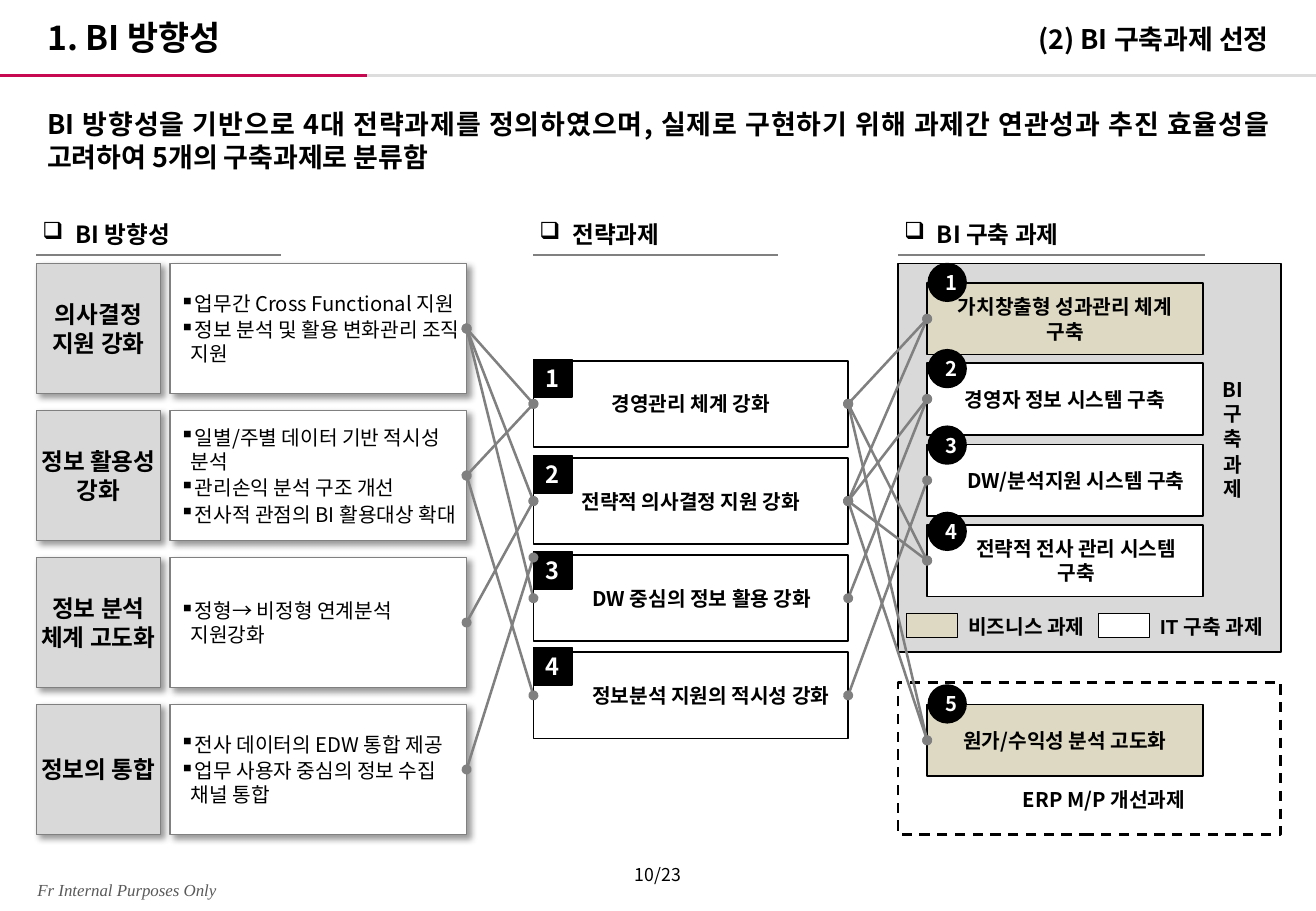
import pptx
import pptx.util
import pptx.dml.color
import pptx.enum.dml
import pptx.enum.shapes
import pptx.enum.text
import pptx.oxml.ns
import lxml.etree

CELL = pptx.util.Inches(0.01)
COLS, ROWS = 1083, 750
FONT = "Noto Sans CJK KR"
COLORS = {"black": "000000", "white": "FFFFFF", "gray": "808080", "panel": "D9D9D9",
          "sand": "DDD9C3", "red": "C70952", "rule": "DDDDDD", "footer": "595959"}
SHAPE = pptx.enum.shapes.MSO_SHAPE
ALIGN = pptx.enum.text.PP_ALIGN
ANCHOR = pptx.enum.text.MSO_ANCHOR
DIRECTIONS = [
    ("의사결정 지원 강화", ["업무간 Cross Functional 지원", "정보 분석 및 활용 변화관리 조직 지원"]),
    ("정보 활용성 강화", ["일별/주별 데이터 기반 적시성 분석", "관리손익 분석 구조 개선",
                   "전사적 관점의 BI 활용대상 확대"]),
    ("정보 분석 체계 고도화", ["정형→ 비정형 연계분석 지원강화"]),
    ("정보의 통합", ["전사 데이터의 EDW 통합 제공", "업무 사용자 중심의 정보 수집 채널 통합"])]
STRATEGIES = [("경영관리 체계 강화", 10), ("전략적 의사결정 지원 강화", 10),
              ("DW 중심의 정보 활용 강화", 28), ("정보분석 지원의 적시성 강화", 43)]
TASKS = [("가치창출형 성과관리 체계 구축", "sand", 10), ("경영자 정보 시스템 구축", "white", 10),
         ("DW/분석지원 시스템 구축", "white", 28), ("전략적 전사 관리 시스템 구축", "white", 28)]
BADGE_RISES = [16, 11, 15, 10, 16]
DIRECTION_LINKS = [(0, 0), (0, 1), (0, 2), (1, 0), (1, 3), (2, 1)]
TASK_LINKS = [(0, 4), (0, 0), (1, 1), (2, 1), (3, 2), (0, 3), (1, 4), (1, 0), (1, 3)]


def rgb(name):
    """Return the named colour."""
    return pptx.dml.color.RGBColor.from_string(COLORS[name])


def sub(parent, tag, **attrs):
    """Append a DrawingML element."""
    return lxml.etree.SubElement(parent, pptx.oxml.ns.qn("a:" + tag), attrs)


def write(sp, texts, size=12, color="black", bold=True, italic=False, font=FONT, align=ALIGN.CENTER,
          anchor=ANCHOR.MIDDLE, insets=(10, 5, 10, 5), bullet=None, indent=0):
    """Fill a shape with uniformly formatted paragraphs."""
    tf = sp.text_frame
    tf.word_wrap = True
    tf.vertical_anchor = anchor
    tf.margin_left, tf.margin_top, tf.margin_right, tf.margin_bottom = [n * CELL for n in insets]
    tf.text = "\n".join(texts)
    for p in tf.paragraphs:
        p.alignment = align
        p.space_before = p.space_after = pptx.util.Pt(size * 0.05)
        p.font.size, p.font.bold, p.font.italic = pptx.util.Pt(size), bold, italic
        p.font.color.rgb = rgb(color)
        p.font.name = font
        pPr = p._p.get_or_add_pPr()
        props = pPr.find(pptx.oxml.ns.qn("a:defRPr"))
        sub(props, "ea", typeface=FONT)
        if bullet:
            pPr.set("marL", str(indent * CELL))
            pPr.set("indent", str(-indent * CELL))
            props.addprevious(sub(pPr, "buChar", char=bullet))


def label(s, x, y, w, h, *texts, **style):
    """Add a text box."""
    sp = s.shapes.add_textbox(x * CELL, y * CELL, w * CELL, h * CELL)
    write(sp, texts, **style)


def block(s, x, y, w, h, *texts, kind=SHAPE.RECTANGLE, fill=None, line="black", width=1,
          shadow=False, **style):
    """Add an outlined shape with optional text and shadow."""
    sp = s.shapes.add_shape(kind, x * CELL, y * CELL, w * CELL, h * CELL)
    sp.shadow.inherit = False
    if fill:
        sp.fill.solid()
        sp.fill.fore_color.rgb = rgb(fill)
    else:
        sp.fill.background()
    sp.line.color.rgb = rgb(line)
    sp.line.width = pptx.util.Pt(width)
    if shadow:
        effects = sp._element.spPr.find(pptx.oxml.ns.qn("a:effectLst"))
        outer = sub(effects, "outerShdw", blurRad=str(pptx.util.Pt(4)), dist=str(pptx.util.Pt(3)),
                    dir="2700000", algn="tl", rotWithShape="0")
        sub(sub(outer, "srgbClr", val=COLORS["black"]), "alpha", val="40000")
    if texts:
        write(sp, texts, **style)
    return sp


def rule(s, x1, y1, x2, y2, color="gray"):
    """Add a straight line."""
    c = s.shapes.add_connector(pptx.enum.shapes.MSO_CONNECTOR.STRAIGHT,
                               x1 * CELL, y1 * CELL, x2 * CELL, y2 * CELL)
    c.line.color.rgb = rgb(color)
    c.line.width = pptx.util.Pt(1.5)
    sub(c._element.spPr, "effectLst")
    return c


def link(s, start, end=None, point=(0, 0)):
    """Join two boxes, or a box and a point, with a dotted-end line."""
    c = rule(s, 0, 0, *point)
    c.begin_connect(start, 3)
    if end is not None:
        c.end_connect(end, 1)
    for tag in ("headEnd", "tailEnd"):
        sub(c.line._get_or_add_ln(), tag, type="oval")


def heading(s, x, y, w, text):
    """Add an underlined column heading."""
    rule(s, x, y + 29, x + w, y + 29)
    label(s, x + 5, y, w - 5, 24, text, size=14, align=ALIGN.LEFT, anchor=ANCHOR.TOP,
          insets=(0, 0, 0, 0), bullet="❑", indent=27)


def header(s, x, y, w, h):
    """Add the titles, the divider and the key message."""
    split = x + 302
    rule(s, x, y + 62, split, y + 62, "red")
    rule(s, split, y + 62, x + w, y + 62, "rule")
    label(s, x + 29, y + 7, 592, 45, "1. BI 방향성", size=20, align=ALIGN.LEFT, anchor=ANCHOR.BOTTOM)
    label(s, x + 687, y + 5, 367, 45, "(2) BI 구축과제 선정", size=16, align=ALIGN.RIGHT,
          anchor=ANCHOR.BOTTOM)
    label(s, x + 29, y + 84, w - 57, h - 84,
          "BI 방향성을 기반으로 4대 전략과제를 정의하였으며, 실제로 구현하기 위해 과제간 연관성과 추진 효율성을 "
          "고려하여 5개의 구축과제로 분류함", size=16, align=ALIGN.JUSTIFY, anchor=ANCHOR.TOP)


def directions(s, x, y, w, h):
    """Add the direction rows and return their detail boxes."""
    heading(s, x, y - 36, 201, "BI 방향성")
    details, row = [], 107
    pitch = (h - row) / (len(DIRECTIONS) - 1)
    for i, (name, points) in enumerate(DIRECTIONS):
        top = round(y + i * pitch)
        block(s, x, top, 102, row, name, fill="panel", line="gray", shadow=True, size=14,
              insets=(0, 5, 0, 5))
        details.append(block(s, x + 110, top, w - 110, row, *points, fill="white", line="gray",
                             shadow=True, bold=False, align=ALIGN.LEFT, insets=(8, 5, 0, 5),
                             bullet="▪", indent=9))
    return details


def strategies(s, x, y, w, h):
    """Add the numbered strategy boxes and return them."""
    heading(s, x, y - 116, 201, "전략과제")
    boxes, row = [], 71
    pitch = (h - row) // (len(STRATEGIES) - 1)
    for i, (name, inset) in enumerate(STRATEGIES):
        boxes.append(block(s, x, y + i * pitch, w, row, name, insets=(inset, 5, 10, 5)))
        block(s, x, y - 1 + i * (pitch - 1), 32, 31, str(i + 1), fill="black", size=14,
              color="white")
    return boxes


def build_tasks(s, x, y, w, h):
    """Add the build task panel with its legend and return the task boxes."""
    heading(s, x, y - 36, 253, "BI 구축 과제")
    block(s, x, y, w, h, fill="panel")
    boxes = [block(s, x + 24, y + 16 + round(i * 66.33), 227, 59, name, fill=fill,
                   insets=(inset, 5, 10, 5)) for i, (name, fill, inset) in enumerate(TASKS)]
    label(s, x + 252, y + 16, 47, 257, "BI 구축", "과제")
    for left, fill, name in ((7, "sand", "비즈니스 과제"), (165, "white", "IT 구축 과제")):
        block(s, x + left, y + 288, 42, 20, fill=fill)
        label(s, x + left + 41, y + 284, 130, 30, name, font="Arial", align=ALIGN.LEFT,
              anchor=ANCHOR.TOP)
    return boxes


def erp_task(s, x, y, w, h):
    """Add the dashed improvement panel and return its task box."""
    panel = block(s, x, y, w, h, width=1.5)
    panel.line.dash_style = pptx.enum.dml.MSO_LINE.DASH
    label(s, x + 56, y + 81, 227, 30, "ERP M/P 개선과제", anchor=ANCHOR.TOP)
    return block(s, x + 24, y + 18, 227, 59, "원가/수익성 분석 고도화", fill="sand")


def badges(s, boxes):
    """Number the task boxes with circles."""
    for i, (sp, rise) in enumerate(zip(boxes, BADGE_RISES)):
        block(s, sp.left // CELL + 1, sp.top // CELL - rise, 31, 31, str(i + 1),
              kind=SHAPE.OVAL, fill="black", color="white")


def footer(s, x, y, w, h):
    """Add the usage note and the page number."""
    label(s, x + 21, y + 13, 268, h - 13, "Fr Internal Purposes Only", size=10, color="footer",
          bold=False, italic=True, font="Times New Roman", align=ALIGN.LEFT, anchor=ANCHOR.TOP)
    label(s, x + (w - 157) // 2, y, 157, 29, "10/23", size=10.5, bold=False, anchor=ANCHOR.TOP)


def main():
    """Build the slide and save it."""
    prs = pptx.Presentation()
    prs.slide_width, prs.slide_height = COLS * CELL, ROWS * CELL
    s = prs.slides.add_slide(prs.slide_layouts[6])
    header(s, 0, 0, COLS, 151)
    footer(s, 0, 706, COLS, 40)
    details = directions(s, 30, 217, 354, 470)
    goals = strategies(s, 439, 297, 259, 311)
    tasks = build_tasks(s, 739, 217, 315, 320)
    tasks.append(erp_task(s, 739, 562, 315, 125))
    for i, j in DIRECTION_LINKS:
        link(s, details[i], goals[j])
    link(s, details[3], point=(439, 459))
    for i, j in TASK_LINKS:
        link(s, goals[i], tasks[j])
    badges(s, tasks)
    prs.save("out.pptx")


if __name__ == "__main__":
    main()
